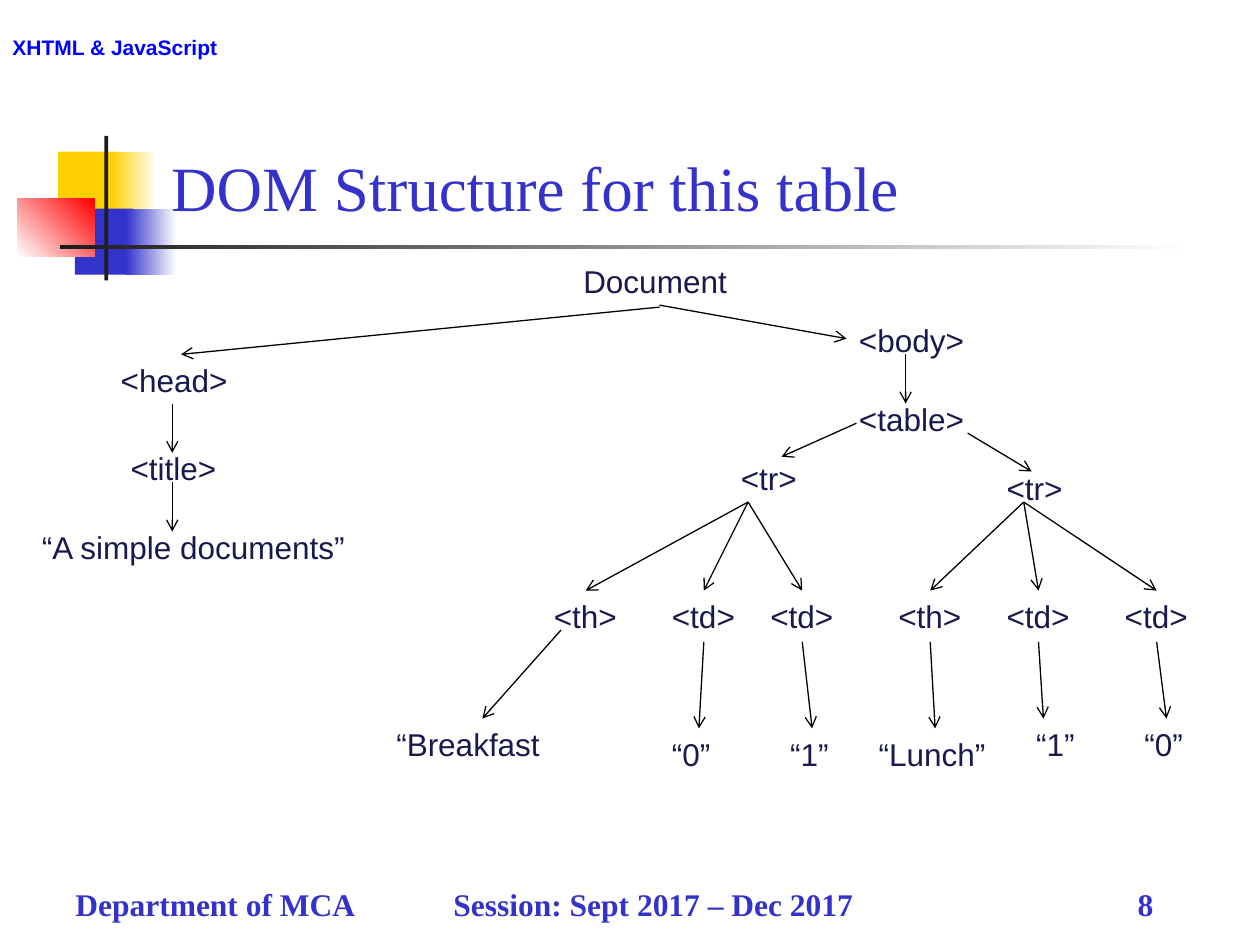
from dataclasses import dataclass

from lxml import etree
from pptx import Presentation
from pptx.dml.color import RGBColor
from pptx.enum.shapes import MSO_CONNECTOR, MSO_SHAPE
from pptx.enum.text import MSO_ANCHOR, MSO_AUTO_SIZE, PP_ALIGN
from pptx.oxml.ns import qn
from pptx.util import Inches, Pt

RECT = MSO_SHAPE.RECTANGLE
STRAIGHT = MSO_CONNECTOR.STRAIGHT
LEFT, BOTTOM, TOP = PP_ALIGN.LEFT, MSO_ANCHOR.BOTTOM, MSO_ANCHOR.TOP
NO_FIT = MSO_AUTO_SIZE.NONE

COLS, ROWS = 128, 96
TITLE_ONLY = 5


@dataclass(frozen=True)
class Theme:
    sans: str = "Arial"
    serif: str = "Times New Roman"
    blue: str = "3333CC"
    yellow: str = "FFCF01"
    red: str = "FF0000"
    white: str = "FFFFFF"
    dark: str = "1C1C1C"
    header: str = "0000FF"
    node: str = "19194D"
    arrow: str = "000000"
    title_size: int = 36
    text_size: int = 18
    header_size: int = 12
    arrow_width: float = 0.75


class TreeSlide:
    """Style and current slide; every length is in grid columns and rows."""

    def __init__(self, prs, theme):
        self.theme = theme
        self.cell_w = prs.slide_width / COLS
        self.cell_h = prs.slide_height / ROWS
        self.s = prs.slides.add_slide(prs.slide_layouts[TITLE_ONLY])

    def grid(self, x, y, w, h):
        return (round(x * self.cell_w), round(y * self.cell_h),
                round(w * self.cell_w), round(h * self.cell_h))

    def style(self, p, font, size, color, bold=False):
        p.alignment = LEFT
        for r in p.runs:
            r.font.name, r.font.size, r.font.bold = font, Pt(size), bold
            r.font.color.rgb = RGBColor.from_string(color)

    def title(self, text, *box):
        sp = self.s.shapes.title
        sp.left, sp.top, sp.width, sp.height = self.grid(*box)
        tf = sp.text_frame
        tf.text = text
        tf.auto_size, tf.vertical_anchor = NO_FIT, BOTTOM
        self.style(tf.paragraphs[0], self.theme.serif,
                   self.theme.title_size, self.theme.blue)
        # Bring the title in front of the ornament
        sp.element.getparent().append(sp.element)

    def block(self, box, color, end=None, angle=0):
        sp = self.s.shapes.add_shape(RECT, *self.grid(*box))
        sp.shadow.inherit = False
        sp.line.fill.background()
        if end is None:
            sp.fill.solid()
            sp.fill.fore_color.rgb = RGBColor.from_string(color)
            return
        sp.fill.gradient()
        sp.fill.gradient_angle = angle
        for stop, rgb, at in zip(sp.fill.gradient_stops, (color, end), (0, 1)):
            stop.color.rgb = RGBColor.from_string(rgb)
            stop.position = at

    def text(self, text, box, font, size, color, bold=False, tabs=()):
        tf = self.s.shapes.add_textbox(*self.grid(*box)).text_frame
        tf.text = text
        tf.word_wrap, tf.vertical_anchor = True, TOP
        p = tf.paragraphs[0]
        if tabs:
            tab_list = etree.SubElement(p._p.get_or_add_pPr(), qn("a:tabLst"))
            for inches in tabs:
                etree.SubElement(tab_list, qn("a:tab"),
                                 pos=str(Inches(inches)), algn="l")
        self.style(p, font, size, color, bold)

    def node(self, text, x, y, w):
        self.text(text, (x, y, w, 5.12), self.theme.sans,
                  self.theme.text_size, self.theme.node)

    def arrow(self, x1, y1, x2, y2):
        ends = self.grid(x1, y1, x2, y2)
        cx = self.s.shapes.add_connector(STRAIGHT, *ends)
        cx.line.width = Pt(self.theme.arrow_width)
        cx.line.color.rgb = RGBColor.from_string(self.theme.arrow)
        etree.SubElement(cx.line._get_or_add_ln(), qn("a:tailEnd"), type="arrow")
        etree.SubElement(cx.element.spPr, qn("a:effectLst"))


def main():
    prs = Presentation()
    prs.slide_width, prs.slide_height = Inches(10), Inches(7.5)
    th = Theme()
    page = TreeSlide(prs, th)

    # Ornament beside the title
    page.block((5.9, 15.4, 6.1, 6.7), th.yellow)
    page.block((11.3, 15.4, 4.6, 6.7), th.yellow, th.white)
    page.block((7.6, 21.2, 5.9, 6.7), th.blue)
    page.block((12.8, 21.2, 5.1, 6.7), th.blue, th.white)
    page.block((1.8, 20.2, 7.8, 5.9), th.white, th.red, 45)
    page.block((10.6, 13.8, 0.4, 14.7), th.dark)
    page.block((6.1, 24.9, 115.2, 0.45), th.dark, th.white)

    # Header, footer and title
    page.text("XHTML & JavaScript", (0, 2.9, 26, 3.8),
              th.sans, th.header_size, th.header, True)
    page.text("Department of MCA\tSession: Sept 2017 – Dec 2017\t8",
              (6.4, 89.3, 117.4, 5.1), th.serif, th.text_size, th.blue,
              True, tabs=(3, 8.43))
    page.title("DOM Structure for this table", 16.1, 2.9, 109.1, 20.5)

    # Upper levels of the tree: text, column, row, width
    for node in (
        ("Document", 58, 26, 18),
        ("<head>", 11, 36, 15),
        ("<title>", 12, 45, 12),
        ("“A simple documents”", 3, 53, 37),
        ("<body>", 86, 32, 15),
        ("<table>", 86, 40, 15),
        ("<tr>", 74, 46, 9),
        ("<tr>", 101, 47, 9),
    ):
        page.node(*node)
    for ends in (
        (67, 31.2, 18.4, 36), (67, 31, 86, 34.4),
        (17.5, 41, 17.5, 46), (17.5, 49, 17.5, 54),
        (92, 36, 92, 41),
        (87, 43, 79.4, 46.4), (98.3, 44, 104.8, 47.9),
    ):
        page.arrow(*ends)

    # Table cells: row anchor, tag, column, then value, column, row, width, tip
    cell_row, cell_w = 60, 9
    for anchor, tag, x, value, vx, vy, vw, tip in (
        (76, "<th>", 55, "“Breakfast", 39, 73, 20, 49),
        (76, "<td>", 67, "“0”", 67, 74, 7, 71),
        (76, "<td>", 77, "“1”", 79, 74, 7, 82.5),
        (104, "<th>", 90, "“Lunch”", 88, 74, 14, 95),
        (104, "<td>", 101, "“1”", 104, 73, 7, 106),
        (104, "<td>", 113, "“0”", 115, 73, 7, 118.5),
    ):
        middle = x + cell_w / 2
        start = (57, 64) if value == "“Breakfast" else (middle, 65.2)
        page.node(tag, x, cell_row, cell_w)
        page.node(value, vx, vy, vw)
        page.arrow(anchor, 51, middle, cell_row)
        # The two td values of the first row and Lunch hang one row lower
        page.arrow(*start, tip, vy)

    prs.save("out.pptx")


if __name__ == "__main__":
    main()
